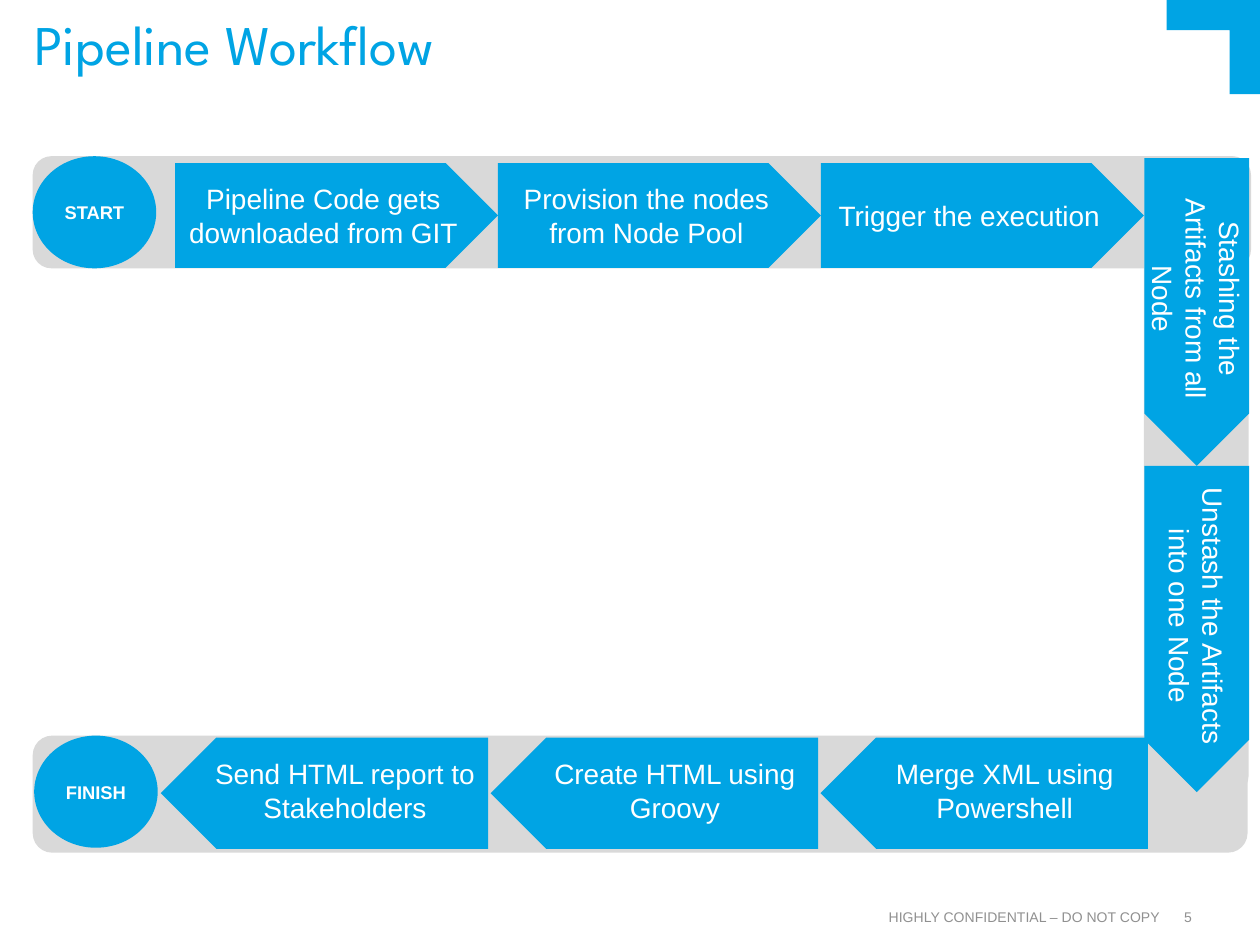
from pptx import Presentation
from pptx.dml.color import RGBColor
from pptx.enum.shapes import MSO_SHAPE
from pptx.enum.text import MSO_ANCHOR, PP_ALIGN
from pptx.util import Cm, Pt

ROUND, OVAL, ARROW = MSO_SHAPE.ROUNDED_RECTANGLE, MSO_SHAPE.OVAL, MSO_SHAPE.PENTAGON
LEFT, MID, RIGHT = PP_ALIGN.LEFT, PP_ALIGN.CENTER, PP_ALIGN.RIGHT
TOP, CENTER, BOTTOM = MSO_ANCHOR.TOP, MSO_ANCHOR.MIDDLE, MSO_ANCHOR.BOTTOM
BLUE, GREY, MUTED, WHITE = "00A4E4", "D9D9D9", "909090", "FFFFFF"

deck = Presentation()
deck.slide_width, deck.slide_height = Cm(25.4), Cm(19.05)
slide = deck.slides.add_slide(deck.slide_layouts[6])
shapes = slide.shapes


def paint(shape, color):
    shape.shadow.inherit = False
    shape.fill.solid()
    shape.fill.fore_color.rgb = RGBColor.from_string(color)
    shape.line.fill.background()


def write(shape, text, size, color=WHITE, align=MID, anchor=CENTER, font="Arial", bold=False):
    frame = shape.text_frame
    frame.text = text
    frame.word_wrap = True
    frame.vertical_anchor = anchor
    para = frame.paragraphs[0]
    para.alignment = align
    style = para.runs[0].font
    style.name, style.size, style.bold = font, Pt(size), bold
    style.color.rgb = RGBColor.from_string(color)
    return frame


def block(kind, x, y, w, h, color=BLUE, turn=0):
    shape = shapes.add_shape(kind, Cm(x), Cm(y), Cm(w), Cm(h))
    shape.rotation = turn
    paint(shape, color)
    return shape


def label(x, y, w, h, text, size, color=WHITE, inset=True, **look):
    box = shapes.add_textbox(Cm(x), Cm(y), Cm(w), Cm(h))
    frame = write(box, text, size, color, **look)
    if not inset:
        frame.margin_left = frame.margin_right = 0
        frame.margin_top = frame.margin_bottom = 0
    return frame


def corner(x, y, w, h, thick):
    """Corner mark: a bar along the top and one down the right."""
    right, low = x + w, y + h
    spots = [(right, y), (right, low), (right - thick, low),
             (right - thick, y + thick), (x, y + thick)]
    pen = shapes.build_freeform(Cm(x), Cm(y))
    pen.add_line_segments([(Cm(a), Cm(b)) for a, b in spots])
    paint(pen.convert_to_shape(), BLUE)


def badge(x, y, text):
    write(block(OVAL, x, y, 2.49, 2.26), text, 10.5, bold=True)


def across(x, y, w, h, steps):
    """Arrows running to the right, edge to edge."""
    for i, step in enumerate(steps):
        write(block(ARROW, x + i * w, y, w, h), step, 16)


def down(x, y, w, steps):
    """Arrows running down, stacked; each is turned about its centre."""
    for step, size in steps:
        shape = block(ARROW, x + (w - size) / 2, y + (size - w) / 2, size, w, turn=90)
        write(shape, step, 16)
        y += size


def back(x, y, w, h, gap, steps):
    """Arrows running to the left from x, with upright labels."""
    for i, step in enumerate(steps):
        left = x - i * (w + gap)
        block(ARROW, left, y, w, h, turn=180)
        label(left + 0.59, y + 0.26, 6.25, 1.63, step, 16, anchor=TOP)


# Frame of the page
corner(23.52, 0, 1.88, 1.9, 0.61)
label(17.68, 18.31, 5.71, 0.33, "HIGHLY CONFIDENTIAL – DO NOT COPY", 8, MUTED,
      inset=False, align=RIGHT, anchor=TOP)
label(23.77, 18.31, 0.36, 0.33, "5", 8, MUTED, inset=False)
title = label(0.69, 0.48, 22.86, 1.09, "Pipeline Workflow", 32, BLUE, inset=False,
              align=LEFT, anchor=BOTTOM, font="League Spartan")
title.paragraphs[0].line_spacing = 0.9

# Grey track
for band in [(0.66, 14.83, 24.49, 2.36), (23.06, 3.15, 2.11, 12.85), (0.66, 3.15, 24.56, 2.26)]:
    block(ROUND, *band, color=GREY)

# Steps
badge(0.66, 3.15, "START")
across(3.53, 3.29, 6.51, 2.11, ["Pipeline Code gets downloaded from GIT",
                                "Provision the nodes from Node Pool",
                                "Trigger the execution"])
down(23.07, 3.19, 2.11, [("Stashing the Artifacts from all Node", 6.2),
                         ("Unstash the Artifacts into one Node", 6.58)])
back(16.54, 14.87, 6.6, 2.24, 0.05, ["Merge XML using Powershell",
                                     "Create HTML using Groovy",
                                     "Send HTML report to Stakeholders"])
badge(0.69, 14.83, "FINISH")

deck.save("out.pptx")
